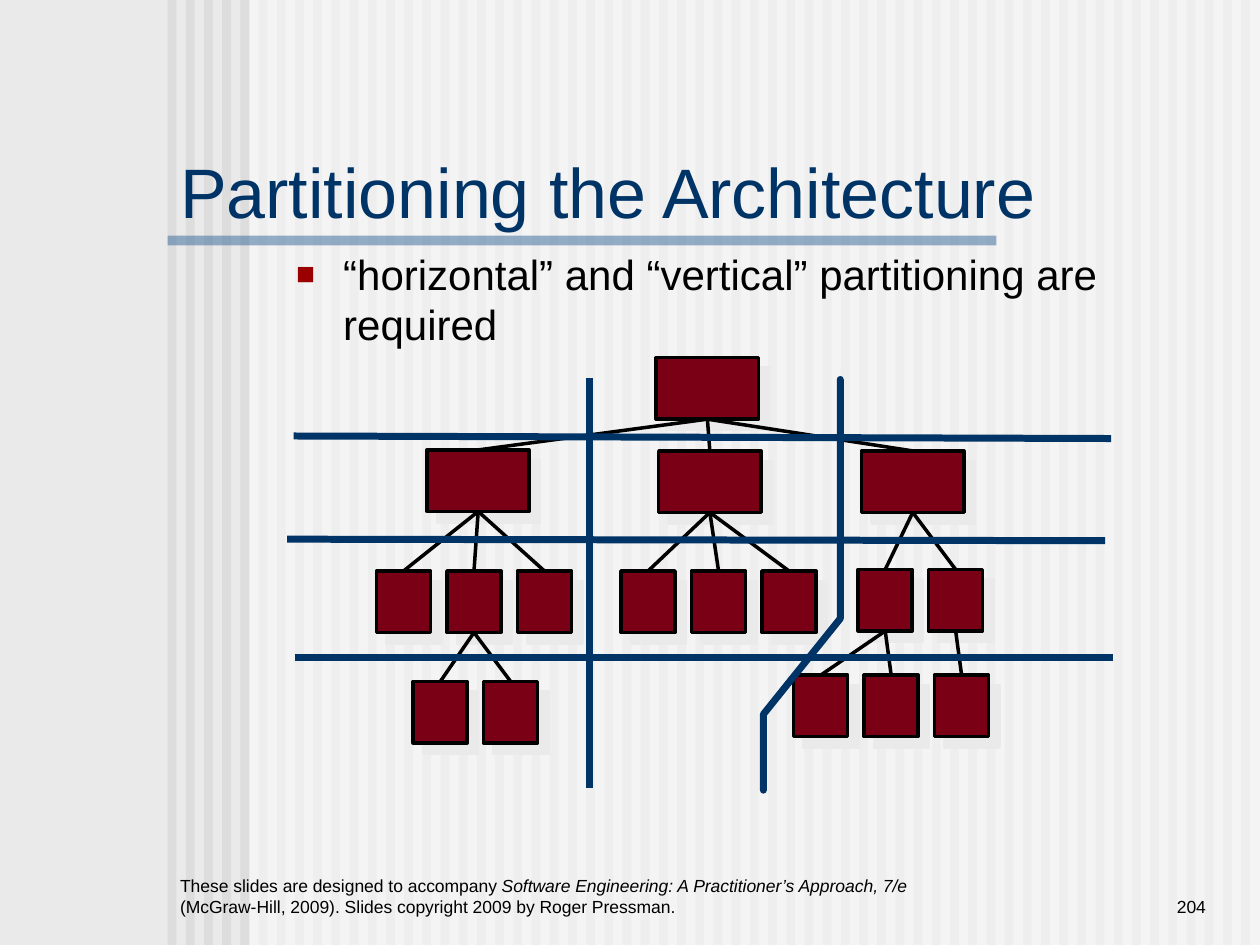
import lxml.etree
import pptx
import pptx.dml.color
import pptx.enum.shapes
import pptx.enum.text
import pptx.oxml.ns
import pptx.util

Cm = pptx.util.Cm
Pt = pptx.util.Pt
RGBColor = pptx.dml.color.RGBColor
Anchor = pptx.enum.text.MSO_ANCHOR
Align = pptx.enum.text.PP_ALIGN

BLACK = RGBColor(0x00, 0x00, 0x00)
WHITE = RGBColor(0xFF, 0xFF, 0xFF)
PAPER = RGBColor(0xEA, 0xEA, 0xEA)
STRIPE = RGBColor(0xDD, 0xDD, 0xDD)
RULE_BLUE = RGBColor(0x33, 0x66, 0x99)
NAVY = RGBColor(0x00, 0x33, 0x66)
MAROON = RGBColor(0x79, 0x00, 0x15)
BULLET_RED = RGBColor(0x9A, 0x00, 0x00)

BOX_HEIGHT = 1.24
MODULE_WIDTH = 2.06
LEAF_WIDTH = 1.09
LEAF_PITCH = 1.42
STRIPE_COUNT = 60
STRIPE_LEFT = 3.38
STRIPE_PITCH = 21.64 / (STRIPE_COUNT - 1)


def add_xml(parent, tag, **values):
    element = lxml.etree.SubElement(parent, pptx.oxml.ns.qn(tag))
    for name, value in values.items():
        element.set(name, str(value))
    return element


def apply(target, values):
    for name, value in values.items():
        setattr(target, name, value)


class ArchitectureSlide:
    font_name = "Arial"

    def __init__(self, deck):
        self.slide = deck.slides.add_slide(deck.slide_layouts[6])
        self.shapes = self.slide.shapes
        background = self.slide.background.fill
        background.solid()
        background.fore_color.rgb = PAPER

    def band(self, left, top, width, height, color, opacity=100):
        band = self.shapes.add_shape(
            pptx.enum.shapes.MSO_SHAPE.RECTANGLE,
            Cm(left), Cm(top), Cm(width), Cm(height))
        band.shadow.inherit = False
        band.fill.solid()
        band.fill.fore_color.rgb = color
        band.line.fill.background()
        if opacity < 100:
            tint = band._element.spPr.find(".//" + pptx.oxml.ns.qn("a:srgbClr"))
            add_xml(tint, "a:alpha", val=opacity * 1000)
        return band

    def box(self, left, top, width):
        box = self.band(left, top, width, BOX_HEIGHT, MAROON)
        box.line.color.rgb = BLACK
        box.line.width = Pt(2)
        effects = box._element.spPr.find(pptx.oxml.ns.qn("a:effectLst"))
        shadow = add_xml(effects, "a:outerShdw", blurRad=0, dist=Pt(8.5),
                         dir=45 * 60000, algn="ctr", rotWithShape=0)
        add_xml(shadow, "a:srgbClr", val=PAPER)
        return box

    def leaves(self, left, top, count):
        return [self.box(left + i * LEAF_PITCH, top, LEAF_WIDTH)
                for i in range(count)]

    def line(self, start, end, color, width):
        line = self.shapes.add_connector(
            pptx.enum.shapes.MSO_CONNECTOR.STRAIGHT,
            *[Cm(value) for value in (*start, *end)])
        line.line.color.rgb = color
        line.line.width = Pt(width)
        add_xml(line._element.spPr, "a:effectLst")
        return line

    def branch(self, parent, children):
        for child in children:
            link = self.line((0, 0), (0, 0), BLACK, 2)
            link.begin_connect(parent, 2)
            link.end_connect(child, 0)

    def bent_partition(self, points):
        corners = [(Cm(x), Cm(y)) for x, y in points]
        outline = self.shapes.build_freeform(*corners[0])
        outline.add_line_segments(corners[1:], close=False)
        partition = outline.convert_to_shape()
        partition.shadow.inherit = False
        partition.fill.background()
        partition.line.color.rgb = NAVY
        partition.line.width = Pt(4)
        stroke = partition.line._get_or_add_ln()
        stroke.set("cap", "rnd")
        add_xml(stroke, "a:round")

    def text(self, place, runs, size, color=BLACK, anchor=Anchor.TOP,
             align=Align.LEFT, bullet=None):
        frame = self.shapes.add_textbox(*[Cm(value) for value in place]).text_frame
        apply(frame, {"word_wrap": True, "vertical_anchor": anchor})
        paragraph = frame.paragraphs[0]
        paragraph.alignment = align
        if bullet:
            layout = paragraph._p.get_or_add_pPr()
            layout.set("marL", str(Cm(0.95)))
            layout.set("indent", str(Cm(-0.95)))
            add_xml(add_xml(layout, "a:buClr"), "a:srgbClr", val=BULLET_RED)
            add_xml(layout, "a:buSzPct", val=75000)
            add_xml(layout, "a:buFont", typeface=self.font_name)
            add_xml(layout, "a:buChar", char=bullet)
        for words, italic in runs:
            run = paragraph.add_run()
            run.text = words
            apply(run.font, {"name": self.font_name, "size": Pt(size), "italic": italic})
            run.font.color.rgb = color


def main():
    deck = pptx.Presentation()
    apply(deck, {"slide_width": Cm(25.4), "slide_height": Cm(19.05)})
    page = ArchitectureSlide(deck)

    for i in range(STRIPE_COUNT):
        page.band(STRIPE_LEFT + i * STRIPE_PITCH, 0, 0.18, 19.05, STRIPE)
    page.band(5.03, 0, 20.37, 19.05, WHITE, opacity=50)
    page.band(3.38, 4.75, 16.71, 0.2, RULE_BLUE, opacity=50)

    page.text((3.38, 17.35, 15.24, 1.27), [
        ("These slides are designed to accompany ", False),
        ("Software Engineering: A Practitioner’s Approach, 7/e ", True),
        ("(McGraw-Hill, 2009). Slides copyright 2009 by Roger Pressman.", False),
    ], 10, anchor=Anchor.BOTTOM)
    page.text((20.96, 17.35, 3.6, 1.27), [("204", False)], 10,
              anchor=Anchor.BOTTOM, align=Align.RIGHT)
    page.text((3.38, 3.38, 18.85, 0.91), [("Partitioning the Architecture", False)],
              40, color=NAVY, anchor=Anchor.MIDDLE)
    page.text((5.72, 4.88, 16.94, 12.4),
              [("“horizontal” and “vertical” partitioning are required", False)],
              24, bullet="■")

    root = page.box(13.23, 7.21, MODULE_WIDTH)
    modules = [page.box(left, top, MODULE_WIDTH)
               for left, top in ((8.61, 9.07), (13.28, 9.09), (17.37, 9.09))]
    left_leaves = page.leaves(7.59, 11.51, 3)
    middle_leaves = page.leaves(12.52, 11.51, 3)
    right_leaves = page.leaves(17.3, 11.48, 2)
    left_details = page.leaves(8.33, 13.74, 2)
    right_details = page.leaves(16, 13.61, 3)

    for parent, children in (
        (root, modules),
        (modules[0], left_leaves),
        (modules[1], middle_leaves),
        (modules[2], right_leaves),
        (right_leaves[0], right_details[:2]),
        (right_leaves[1], right_details[2:]),
        (left_leaves[1], left_details),
    ):
        page.branch(parent, children)

    for start, end in (
        ((5.79, 10.87), (22.28, 10.9)),
        ((5.94, 13.26), (22.43, 13.26)),
        ((11.89, 7.62), (11.89, 15.88)),
        ((5.92, 8.79), (22.4, 8.84)),
    ):
        page.line(start, end, NAVY, 4)
    page.bent_partition([(16.94, 7.65), (16.94, 12.47), (15.39, 14.4), (15.39, 15.93)])

    deck.save("out.pptx")


if __name__ == "__main__":
    main()
